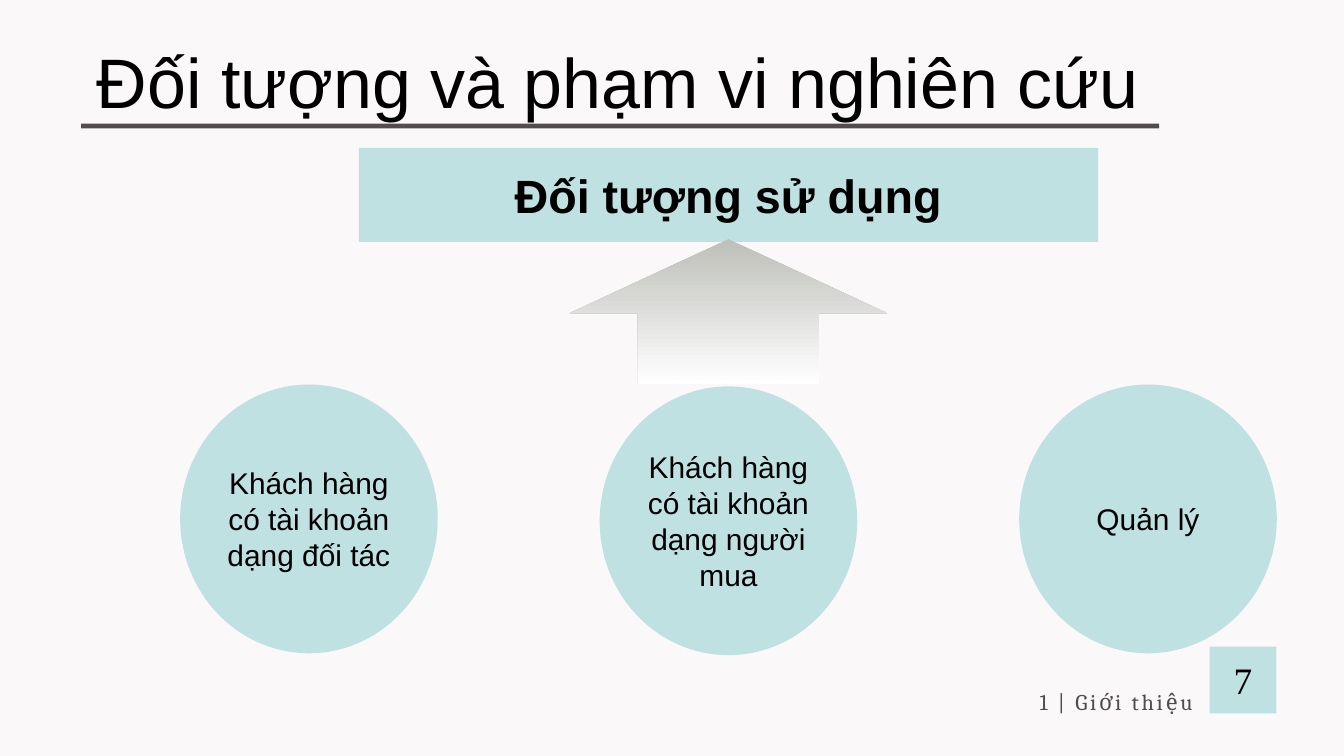
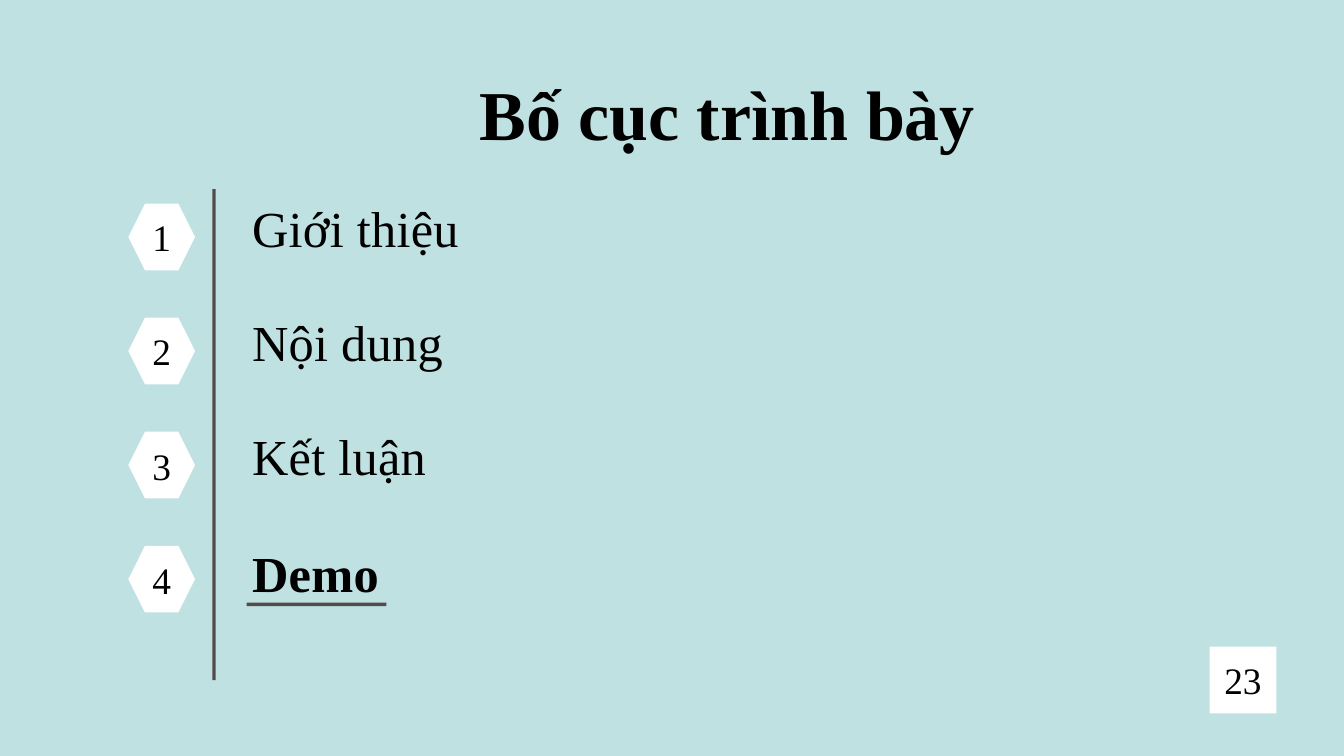
import pptx
import pptx.util
import pptx.dml.color
import pptx.enum.shapes
import pptx.enum.text

Pt = pptx.util.Pt
RGB = pptx.dml.color.RGBColor
SHAPE = pptx.enum.shapes.MSO_SHAPE
ALIGN = pptx.enum.text.PP_ALIGN
ANCHOR = pptx.enum.text.MSO_ANCHOR
SIZE = pptx.enum.text.MSO_AUTO_SIZE

MINT = RGB(0xC0, 0xE1, 0xE1)
PAPER = RGB(0xFA, 0xF8, 0xF8)
WHITE = RGB(0xFF, 0xFF, 0xFF)
BLACK = RGB(0, 0, 0)
SLATE = RGB(0x52, 0x4C, 0x4C)
STONE = RGB(0xBD, 0xBF, 0xB9)

SANS = "Arial"
SERIF = "Times New Roman"
NOTE = "Cambria"


class Deck:
    def __init__(self):
        self.file = pptx.Presentation()
        self.file.slide_width = Pt(1440)
        self.file.slide_height = Pt(810)
        self.slide = None

    def page(self, color):
        self.slide = self.file.slides.add_slide(self.file.slide_layouts[5])
        fill = self.slide.background.fill
        fill.solid()
        fill.fore_color.rgb = color

    def style(self, frame, text, font, size, color=BLACK, bold=False,
              align=ALIGN.CENTER, lead=None, track=0):
        frame.text = text
        frame.word_wrap = True
        para = frame.paragraphs[0]
        para.alignment = align
        if lead:
            para.line_spacing = Pt(lead)
        run = para.runs[0]
        run.font.name = font
        run.font.size = Pt(size)
        run.font.bold = bold
        run.font.color.rgb = color
        if track:
            run._r.get_or_add_rPr().set("spc", str(round(track * 100)))

    def bare(self, frame):
        frame.margin_left = frame.margin_right = 0
        frame.margin_top = frame.margin_bottom = 0
        frame.vertical_anchor = ANCHOR.TOP
        frame.auto_size = SIZE.NONE

    def title(self, text, left, top, width, height, font, **look):
        title = self.slide.shapes.title
        title.left, title.top = Pt(left), Pt(top)
        title.width, title.height = Pt(width), Pt(height)
        self.bare(title.text_frame)
        self.style(title.text_frame, text, font, 75, lead=82.5, **look)

    def label(self, text, left, top, width, height, font, size, **look):
        box = self.slide.shapes.add_textbox(Pt(left), Pt(top), Pt(width), Pt(height))
        self.bare(box.text_frame)
        self.style(box.text_frame, text, font, size, **look)

    def shape(self, kind, left, top, width, height, color):
        shape = self.slide.shapes.add_shape(
            kind, Pt(left), Pt(top), Pt(width), Pt(height))
        shape.shadow.inherit = False
        shape.line.fill.background()
        shape.fill.solid()
        shape.fill.fore_color.rgb = color
        return shape

    def block(self, kind, text, left, top, width, height, color, font, size, bold=False):
        shape = self.shape(kind, left, top, width, height, color)
        shape.text_frame.vertical_anchor = ANCHOR.MIDDLE
        self.style(shape.text_frame, text, font, size, bold=bold)

    def rule(self, left, top, width, height):
        self.shape(SHAPE.RECTANGLE, left, top, width, height, SLATE)

    def arrow(self, left, top, width, height):
        arrow = self.shape(SHAPE.UP_ARROW, left, top, width, height, STONE)
        arrow.adjustments[0] = 0.57
        arrow.adjustments[1] = 0.51
        arrow.fill.gradient()
        arrow.fill.gradient_angle = 270
        for stop, color in zip(arrow.fill.gradient_stops, (STONE, WHITE)):
            stop.color.rgb = color

    def token(self, kind, text, left, top, color):
        self.block(kind, text, left, top, 71.5, 71.5, color, SERIF, 40)

    def number(self, text, color):
        self.token(SHAPE.RECTANGLE, text, 1296, 692.8, color)


def users(deck):
    deck.page(PAPER)
    deck.title("Đối tượng và phạm vi nghiên cứu", 103.7, 49, 1178.6, 83.5,
               SANS, align=ALIGN.LEFT)
    deck.rule(87, 132.5, 1155, 5)
    deck.block(SHAPE.RECTANGLE, "Đối tượng sử dụng", 384.5, 158.5, 792, 100.8,
               MINT, SANS, 50, bold=True)
    groups = (
        ("Khách hàng có tài khoản dạng đối tác", 412),
        ("Khách hàng có tài khoản dạng người mua", 414),
        ("Quản lý", 412),
    )
    for index, (text, top) in enumerate(groups):
        deck.block(SHAPE.OVAL, text, 193 + 449.5 * index, top, 276, 288,
                   MINT, SANS, 32)
    deck.arrow(610.5, 256.3, 340, 155.5)
    deck.number("7", MINT)
    deck.label("1 | Giới thiệu", 894.2, 733, 603.4, 31.7, NOTE, 24,
               color=SLATE, lead=33.6, track=2.9)


def agenda(deck):
    deck.page(MINT)
    deck.title("Bố cục trình bày", 447.8, 83.5, 663, 85.7, SERIF, bold=True)
    deck.rule(227.5, 202.5, 3.6, 526.3)
    items = ("Giới thiệu", "Nội dung", "Kết luận", "Demo")
    for index, text in enumerate(items):
        top = 218.2 + 122.2 * index
        active = text == "Demo"
        deck.token(SHAPE.HEXAGON, str(index + 1), 137.5, top, WHITE)
        deck.label(text, 270, top + (15.7 if active else 13), 473.8, 48,
                   SERIF, 54, bold=active, align=ALIGN.LEFT, lead=45, track=0.3)
        if active:
            deck.rule(264.2, top + 61, 149.8, 3.6)
    deck.number("23", WHITE)


def main():
    deck = Deck()
    users(deck)
    agenda(deck)
    deck.file.save("out.pptx")


if __name__ == "__main__":
    main()
